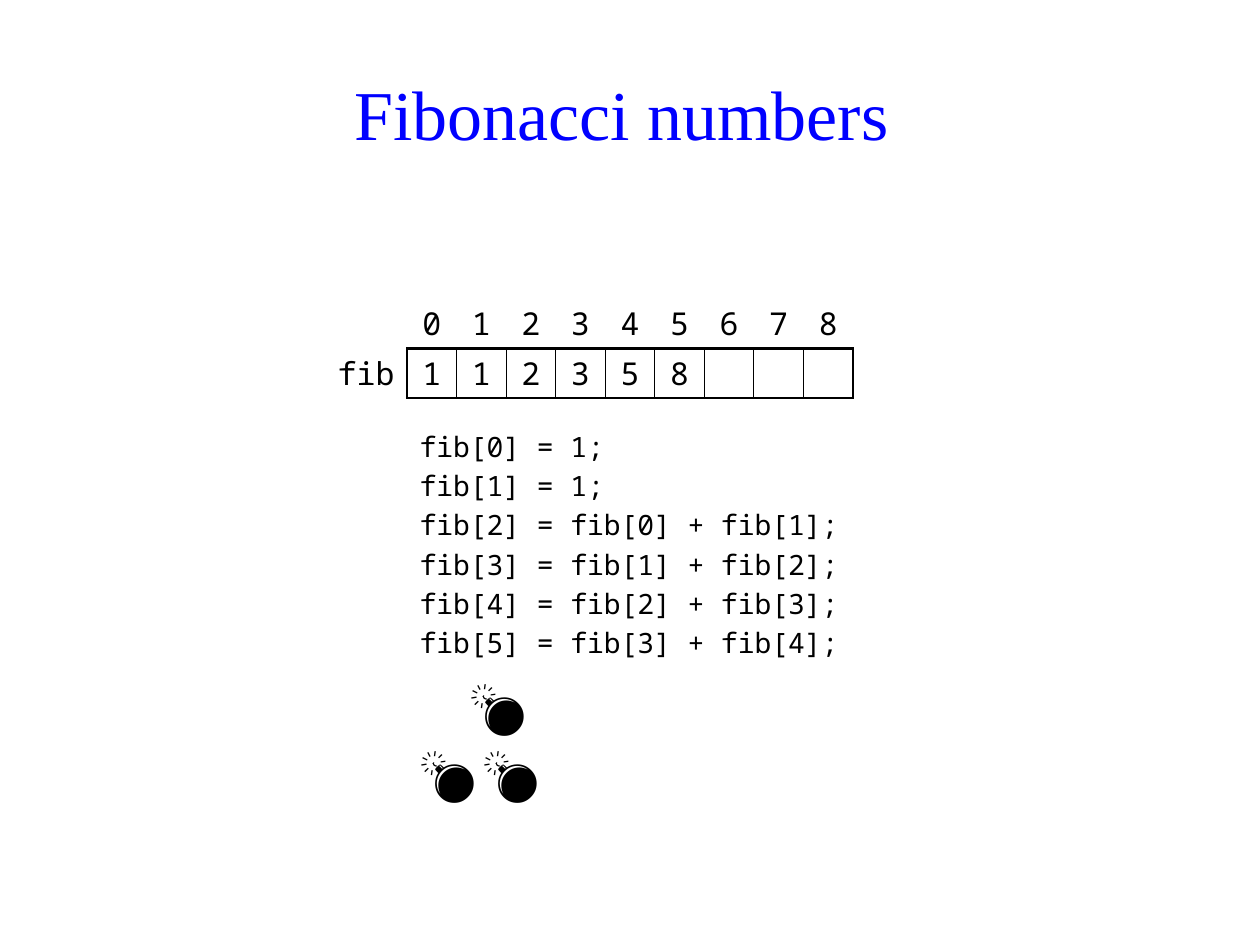
from lxml import etree
from pptx import Presentation
from pptx import util as u
from pptx.dml.color import RGBColor
from pptx.enum import text
from pptx.oxml.ns import qn

SERIF, MONO = "Times New Roman", "Noto Sans Mono"
BLACK, BLUE = "000000", "0000FF"
BOMB = "💣"
FIB = [1, 1, 2, 3, 5, 8]
SLOTS = 9
THICK, THIN = 1.5, 0.75


def color(value):
    """Turn a hex string into a colour."""
    return RGBColor.from_string(value)


def add_span(para, words, size, font=MONO, ink=BLACK):
    """Add one formatted run to a paragraph."""
    span = para.add_run()
    span.text = words
    span.font.size = u.Pt(size)
    span.font.name = font
    span.font.color.rgb = color(ink)


def place(shape, box):
    """Move a shape to a box of left, top, width and height in inches."""
    shape.left, shape.top, shape.width, shape.height = map(u.Inches, box)


def fill_title(title, box):
    """Place the title and write its words."""
    place(title, box)
    title.text_frame.vertical_anchor = text.MSO_ANCHOR.MIDDLE
    para = title.text_frame.paragraphs[0]
    para.alignment = text.PP_ALIGN.CENTER
    add_span(para, "Fibonacci numbers ", 40, SERIF, BLUE)


def unbullet(para, indent=0, tab=None):
    """Remove the bullet, set the first-line indent and an optional tab stop."""
    props = para._p.get_or_add_pPr()
    props.set("marL", "0")
    props.set("indent", str(u.Inches(indent)))
    etree.SubElement(props, qn("a:buNone"))
    if tab:
        stops = etree.SubElement(props, qn("a:tabLst"))
        etree.SubElement(stops, qn("a:tab"), pos=str(u.Inches(tab)), algn="l")


def fill_code(body, box):
    """Place the body and write the assignments, then the bombs."""
    place(body, box)
    frame = body.text_frame
    frame.auto_size = text.MSO_AUTO_SIZE.NONE
    para = frame.paragraphs[0]
    for index in range(len(FIB)):
        value = f"fib[{index - 2}] + fib[{index - 1}]" if index > 1 else "1"
        unbullet(para)
        add_span(para, f"fib[{index}] = {value};", 16)
        para = frame.add_paragraph()
    unbullet(para, indent=0.4, tab=1.45)
    add_span(para, BOMB, 32)
    para.add_line_break()
    add_span(para, f"{BOMB}\t{BOMB}", 32)


def set_borders(cell, **widths):
    """Draw the named cell sides (L, R, T, B) at widths in points."""
    props = cell._tc.get_or_add_tcPr()
    for side in "LRTB":
        if side in widths:
            line = etree.SubElement(props, qn(f"a:ln{side}"), w=str(u.Pt(widths[side])))
            fill = etree.SubElement(line, qn("a:solidFill"))
            etree.SubElement(fill, qn("a:srgbClr"), val=BLACK)


def fill_cell(cell, words, align):
    """Clear a cell's fill and write its words."""
    cell.fill.background()
    cell.vertical_anchor = text.MSO_ANCHOR.MIDDLE
    cell.margin_top = cell.margin_bottom = 0
    para = cell.text_frame.paragraphs[0]
    para.alignment = align
    if words:
        add_span(para, words, 18)


def add_array(page, box):
    """Draw the fib array with its indices above it."""
    left, top, width, height = map(u.Inches, box)
    table = page.shapes.add_table(2, SLOTS + 1, left, top, width, height).table
    table.first_row = table.horz_banding = False
    label_width = u.Inches(0.79)
    for number, column in enumerate(table.columns):
        column.width = int((width - label_width) / SLOTS) if number else label_width
    set_borders(table.cell(1, 0), R=THICK)
    fill_cell(table.cell(0, 0), "", text.PP_ALIGN.RIGHT)
    fill_cell(table.cell(1, 0), "fib", text.PP_ALIGN.RIGHT)
    for index in range(SLOTS):
        heading, slot = (table.cell(row, index + 1) for row in range(2))
        set_borders(heading, B=THICK)
        set_borders(slot, L=THIN if index else THICK,
                    R=THIN if index < SLOTS - 1 else THICK, T=THICK, B=THICK)
        value = str(FIB[index]) if index < len(FIB) else ""
        fill_cell(heading, str(index), text.PP_ALIGN.CENTER)
        fill_cell(slot, value, text.PP_ALIGN.CENTER)


def main():
    """Build the slide and save it."""
    deck = Presentation()
    deck.slide_width, deck.slide_height = u.Inches(10), u.Inches(7.5)
    page = deck.slides.add_slide(deck.slide_layouts[1])
    fill_title(page.shapes.title, (0.47, 0.4, 9.06, 0.98))
    fill_code(page.placeholders[1], (3.23, 3.36, 3.54, 2.56))
    add_array(page, (2.44, 2.37, 4.33, 0.79))
    deck.save("out.pptx")


if __name__ == "__main__":
    main()
